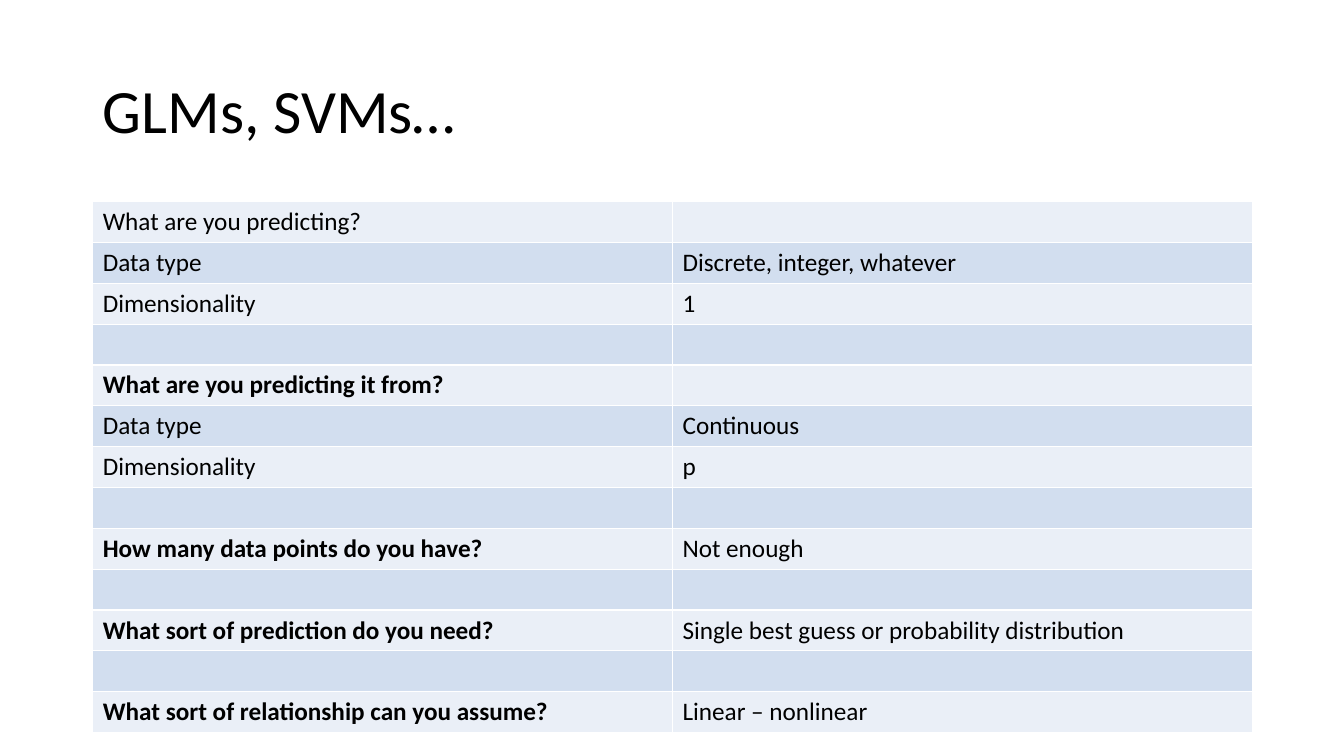
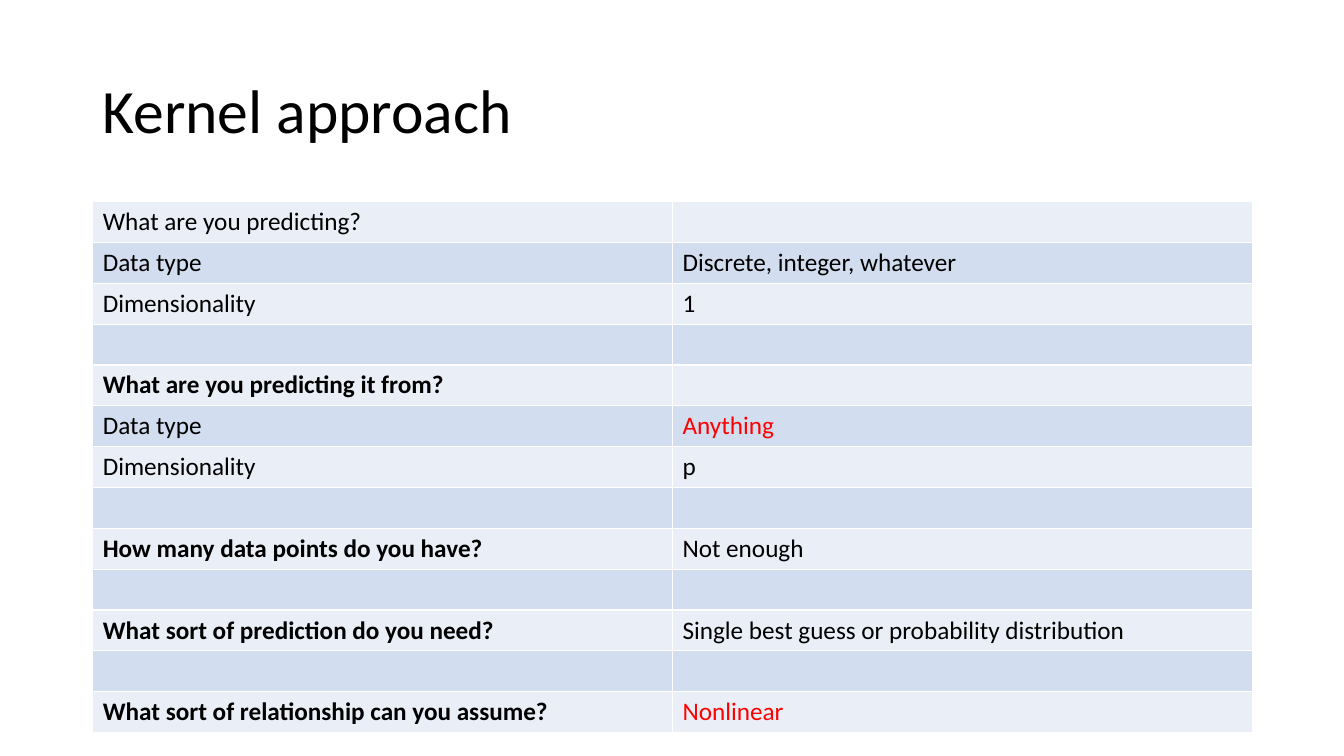
"""Build two slides that compare modelling approaches by the same checklist."""
from dataclasses import dataclass

import lxml.etree
import pptx
import pptx.dml.color
import pptx.enum.text
import pptx.oxml.ns
import pptx.presentation
import pptx.slide
import pptx.table
import pptx.text.text
import pptx.util

BLACK = pptx.dml.color.RGBColor(0x00, 0x00, 0x00)
RED = pptx.dml.color.RGBColor(0xFF, 0x00, 0x00)
WHITE = pptx.dml.color.RGBColor(0xFF, 0xFF, 0xFF)
BANDS = (
    pptx.dml.color.RGBColor(0xEA, 0xEF, 0xF7),
    pptx.dml.color.RGBColor(0xD2, 0xDE, 0xEF),
)
FONT = "Calibri"
TITLE_SIZE = pptx.util.Pt(44)
CELL_SIZE = pptx.util.Pt(18)
BORDER = pptx.util.Pt(1)

SLIDE_WIDTH = pptx.util.Inches(13.33)
SLIDE_HEIGHT = pptx.util.Inches(7.5)
MARGIN = pptx.util.Inches(0.92)
CONTENT_WIDTH = pptx.util.Inches(11.5)
TITLE_TOP = pptx.util.Inches(0.4)
TITLE_HEIGHT = pptx.util.Inches(1.45)
TABLE_TOP = pptx.util.Inches(2)
TABLE_HEIGHT = pptx.util.Inches(5.27)


@dataclass(frozen=True)
class Text:
    """Wording of a cell with its emphasis."""

    words: str = ""
    bold: bool = False
    color: pptx.dml.color.RGBColor = BLACK


@dataclass(frozen=True)
class Approach:
    """A modelling approach and the answers that set it apart."""

    title: str
    input_type: Text
    relationship: Text


APPROACHES = (
    Approach("GLMs, SVMs…", Text("Continuous"), Text("Linear – nonlinear")),
    Approach("Kernel approach", Text("Anything", color=RED), Text("Nonlinear", color=RED)),
)


def checklist(approach: Approach) -> list[tuple[Text, Text]]:
    """Return the question and answer of every table row."""
    blank = Text()
    return [
        (Text("What are you predicting?"), blank),
        (Text("Data type"), Text("Discrete, integer, whatever")),
        (Text("Dimensionality"), Text("1")),
        (blank, blank),
        (Text("What are you predicting it from?", bold=True), blank),
        (Text("Data type"), approach.input_type),
        (Text("Dimensionality"), Text("p")),
        (blank, blank),
        (Text("How many data points do you have?", bold=True), Text("Not enough")),
        (blank, blank),
        (
            Text("What sort of prediction do you need?", bold=True),
            Text("Single best guess or probability distribution"),
        ),
        (blank, blank),
        (Text("What sort of relationship can you assume?", bold=True), approach.relationship),
    ]


def write(para: pptx.text.text._Paragraph, text: Text, size: pptx.util.Length) -> None:
    """Set the paragraph font and add the text as one run."""
    para.font.name = FONT
    para.font.size = size
    if text.words:
        span = para.add_run()
        span.text = text.words
        span.font.name = FONT
        span.font.size = size
        span.font.bold = text.bold
        span.font.color.rgb = text.color


def add_title(page: pptx.slide.Slide, words: str) -> None:
    """Add the slide title, centred vertically in its band."""
    box = page.shapes.add_textbox(MARGIN, TITLE_TOP, CONTENT_WIDTH, TITLE_HEIGHT)
    frame = box.text_frame
    frame.word_wrap = True
    frame.vertical_anchor = pptx.enum.text.MSO_ANCHOR.MIDDLE
    para = frame.paragraphs[0]
    para.line_spacing = 0.9
    write(para, Text(words), TITLE_SIZE)


def style_cell(cell: pptx.table._Cell, fill: pptx.dml.color.RGBColor) -> None:
    """Give a cell white borders and a solid fill."""
    qualify = pptx.oxml.ns.qn
    properties = cell._tc.get_or_add_tcPr()
    for side in "LRTB":
        line = lxml.etree.SubElement(properties, qualify(f"a:ln{side}"), w=str(int(BORDER)))
        solid = lxml.etree.SubElement(line, qualify("a:solidFill"))
        lxml.etree.SubElement(solid, qualify("a:srgbClr"), val=str(WHITE))
    cell.fill.solid()
    cell.fill.fore_color.rgb = fill


def add_checklist(page: pptx.slide.Slide, rows: list[tuple[Text, Text]]) -> None:
    """Add the banded table of questions and answers."""
    frame = page.shapes.add_table(
        len(rows), len(rows[0]), MARGIN, TABLE_TOP, CONTENT_WIDTH, TABLE_HEIGHT
    )
    table = frame.table
    table.first_row = False
    table.horz_banding = False
    for row_index, row in enumerate(rows):
        for column_index, text in enumerate(row):
            cell = table.cell(row_index, column_index)
            style_cell(cell, BANDS[row_index % len(BANDS)])
            write(cell.text_frame.paragraphs[0], text, CELL_SIZE)


def add_approach(deck: pptx.presentation.Presentation, approach: Approach) -> None:
    """Add one slide for an approach."""
    page = deck.slides.add_slide(deck.slide_layouts[6])
    add_title(page, approach.title)
    add_checklist(page, checklist(approach))


def main() -> None:
    """Build and save the deck."""
    deck = pptx.Presentation()
    deck.slide_width = SLIDE_WIDTH
    deck.slide_height = SLIDE_HEIGHT
    for approach in APPROACHES:
        add_approach(deck, approach)
    deck.save("out.pptx")


if __name__ == "__main__":
    main()
